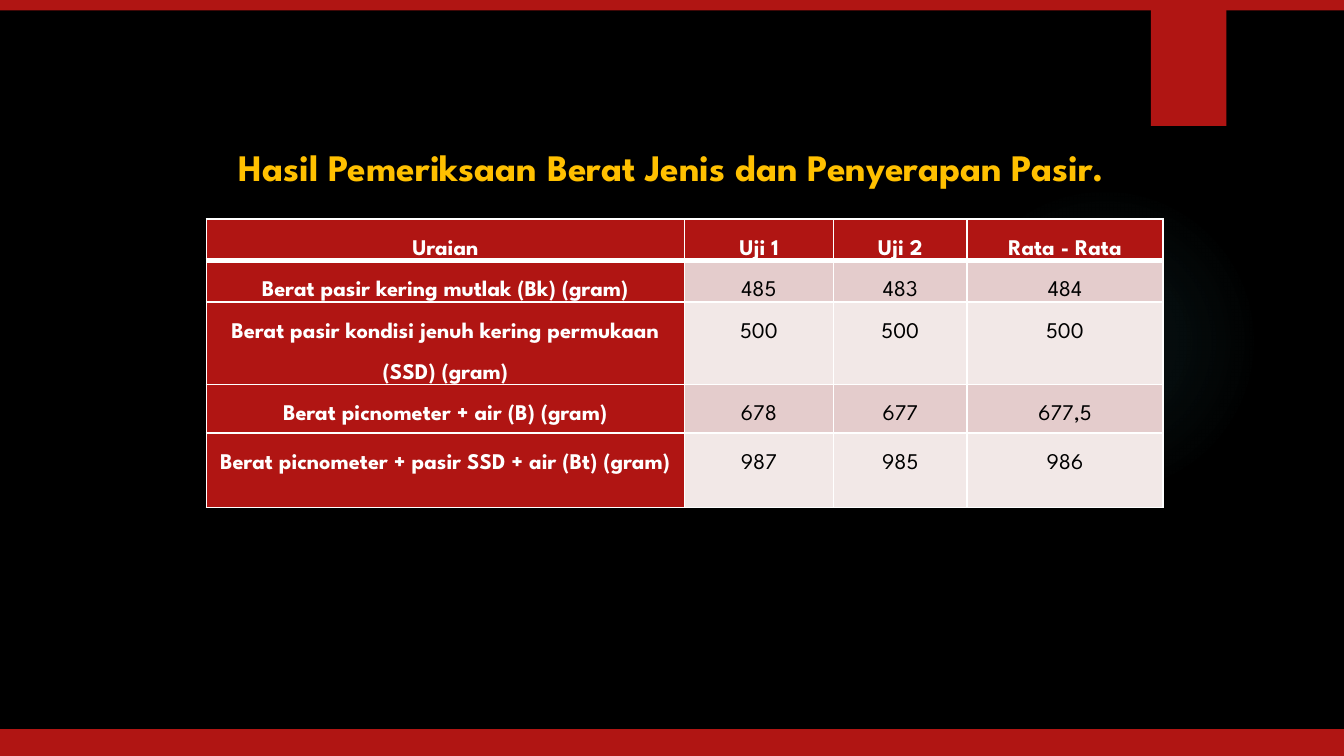
from dataclasses import dataclass

from pptx import Presentation
from pptx.dml.color import RGBColor
from pptx.enum.shapes import MSO_SHAPE
from pptx.enum.text import MSO_ANCHOR, PP_ALIGN
from pptx.oxml import parse_xml
from pptx.oxml.ns import nsdecls
from pptx.util import Pt

RECTANGLE, OVAL = MSO_SHAPE.RECTANGLE, MSO_SHAPE.OVAL
CENTER, MIDDLE, TOP = PP_ALIGN.CENTER, MSO_ANCHOR.MIDDLE, MSO_ANCHOR.TOP


@dataclass(frozen=True)
class Theme:
    """Colours, font and type sizes of the slide."""
    font: str = "League Spartan"
    title_size: float = 20
    table_size: float = 12
    table_line: float = 22.1
    background: str = "000000"
    accent: str = "B01513"
    title: str = "FFC000"
    glow: str = "50B9C1"
    light: str = "FFFFFF"
    dark: str = "000000"
    bands: tuple = ("E4CCCC", "F2E8E7")


THEME = Theme()
TITLE = "Hasil Pemeriksaan Berat Jenis dan Penyerapan Pasir."
ROWS = [
    ("Uraian", "Uji 1", "Uji 2", "Rata - Rata"),
    ("Berat pasir kering mutlak (Bk) (gram)", "485", "483", "484"),
    ("Berat pasir kondisi jenuh kering permukaan (SSD) (gram)", "500", "500", "500"),
    ("Berat picnometer + air (B) (gram)", "678", "677", "677,5"),
    ("Berat picnometer + pasir SSD + air (Bt) (gram)", "987", "985", "986"),
]
COLUMN_WIDTHS = (256, 80, 71.5, 105)
ROW_HEIGHTS = (22.1, 22.1, 44.2, 25.9, 40)
BARS = [(616.5, 0, 40.5, 67.5), (0, 390.6, 720, 14.4), (0, 0, 720, 5.6)]
GLOW_STOPS = [(0, 7), (36, 6), (69, 0)]


def color(value):
    """Turn a hexadecimal string into a colour."""
    return RGBColor.from_string(value)


def add_shape(slide, kind, box):
    """Add a preset shape without line or shadow."""
    shape = slide.shapes.add_shape(kind, *map(Pt, box))
    shape.shadow.inherit = False
    shape.line.fill.background()
    return shape


def add_bar(slide, box):
    """Add a solid accent rectangle."""
    shape = add_shape(slide, RECTANGLE, box)
    shape.fill.solid()
    shape.fill.fore_color.rgb = color(THEME.accent)


def add_glow(slide, box):
    """Add a circle that fades out from its centre."""
    shape = add_shape(slide, OVAL, box)
    shape.fill.background()
    stops = "".join(
        f'<a:gs pos="{position * 1000}"><a:srgbClr val="{THEME.glow}">'
        f'<a:alpha val="{alpha * 1000}"/></a:srgbClr></a:gs>'
        for position, alpha in GLOW_STOPS
    )
    gradient = parse_xml(
        f'<a:gradFill {nsdecls("a")}><a:gsLst>{stops}</a:gsLst><a:path path="circle">'
        '<a:fillToRect l="50000" t="50000" r="50000" b="50000"/></a:path></a:gradFill>'
    )
    properties = shape.element.spPr
    properties.replace(properties.find("{*}noFill"), gradient)


def write_text(frame, text, size, text_color, bold):
    """Write one centred run and return its paragraph."""
    frame.word_wrap = True
    paragraph = frame.paragraphs[0]
    paragraph.alignment = CENTER
    run = paragraph.add_run()
    run.text = text
    run.font.name = THEME.font
    run.font.size = Pt(size)
    run.font.bold = bold
    run.font.color.rgb = color(text_color)
    return paragraph


def add_title(slide, box):
    """Add the heading text."""
    frame = slide.shapes.add_textbox(*map(Pt, box)).text_frame
    frame.vertical_anchor = MIDDLE
    paragraph = write_text(frame, TITLE, THEME.title_size, THEME.title, True)
    paragraph.space_before = Pt(7.5)


def set_borders(cell, top, bottom):
    """Draw the four cell borders, with top and bottom widths in points."""
    properties = cell._tc.get_or_add_tcPr()
    for side, width in (("L", 1), ("R", 1), ("T", top), ("B", bottom)):
        properties.append(parse_xml(
            f'<a:ln{side} {nsdecls("a")} w="{Pt(width)}"><a:solidFill>'
            f'<a:srgbClr val="{THEME.light}"/></a:solidFill></a:ln{side}>'
        ))


def format_cell(cell, text, row, column):
    """Fill one cell according to its place in the table."""
    heading = row == 0 or column == 0
    cell.margin_left = cell.margin_right = Pt(5)
    cell.margin_top = cell.margin_bottom = 0
    cell.vertical_anchor = TOP
    set_borders(cell, 3 if row == 1 else 1, 3 if row == 0 else 1)
    cell.fill.solid()
    fill = THEME.accent if heading else THEME.bands[(row - 1) % 2]
    cell.fill.fore_color.rgb = color(fill)
    text_color = THEME.light if heading else THEME.dark
    paragraph = write_text(cell.text_frame, text, THEME.table_size, text_color, heading)
    paragraph.line_spacing = Pt(THEME.table_line)


def add_results_table(slide, left, top):
    """Add the table of test results."""
    size = (sum(COLUMN_WIDTHS), sum(ROW_HEIGHTS))
    table = slide.shapes.add_table(
        len(ROWS), len(COLUMN_WIDTHS), Pt(left), Pt(top), *map(Pt, size)
    ).table
    for column, width in zip(table.columns, COLUMN_WIDTHS):
        column.width = Pt(width)
    for row, height in zip(table.rows, ROW_HEIGHTS):
        row.height = Pt(height)
    for row, texts in enumerate(ROWS):
        for column, text in enumerate(texts):
            format_cell(table.cell(row, column), text, row, column)


def main():
    """Build and save the slide."""
    presentation = Presentation()
    presentation.slide_width, presentation.slide_height = Pt(720), Pt(405)
    slide = presentation.slides.add_slide(presentation.slide_layouts[6])
    slide.background.fill.solid()
    slide.background.fill.fore_color.rgb = color(THEME.background)
    add_glow(slide, (508.5, 99.5, 166.5, 166.5))
    for box in BARS:
        add_bar(slide, box)
    add_title(slide, (0, 66.5, 720, 45))
    add_results_table(slide, 110.6, 117.4)
    presentation.save("out.pptx")


if __name__ == "__main__":
    main()
